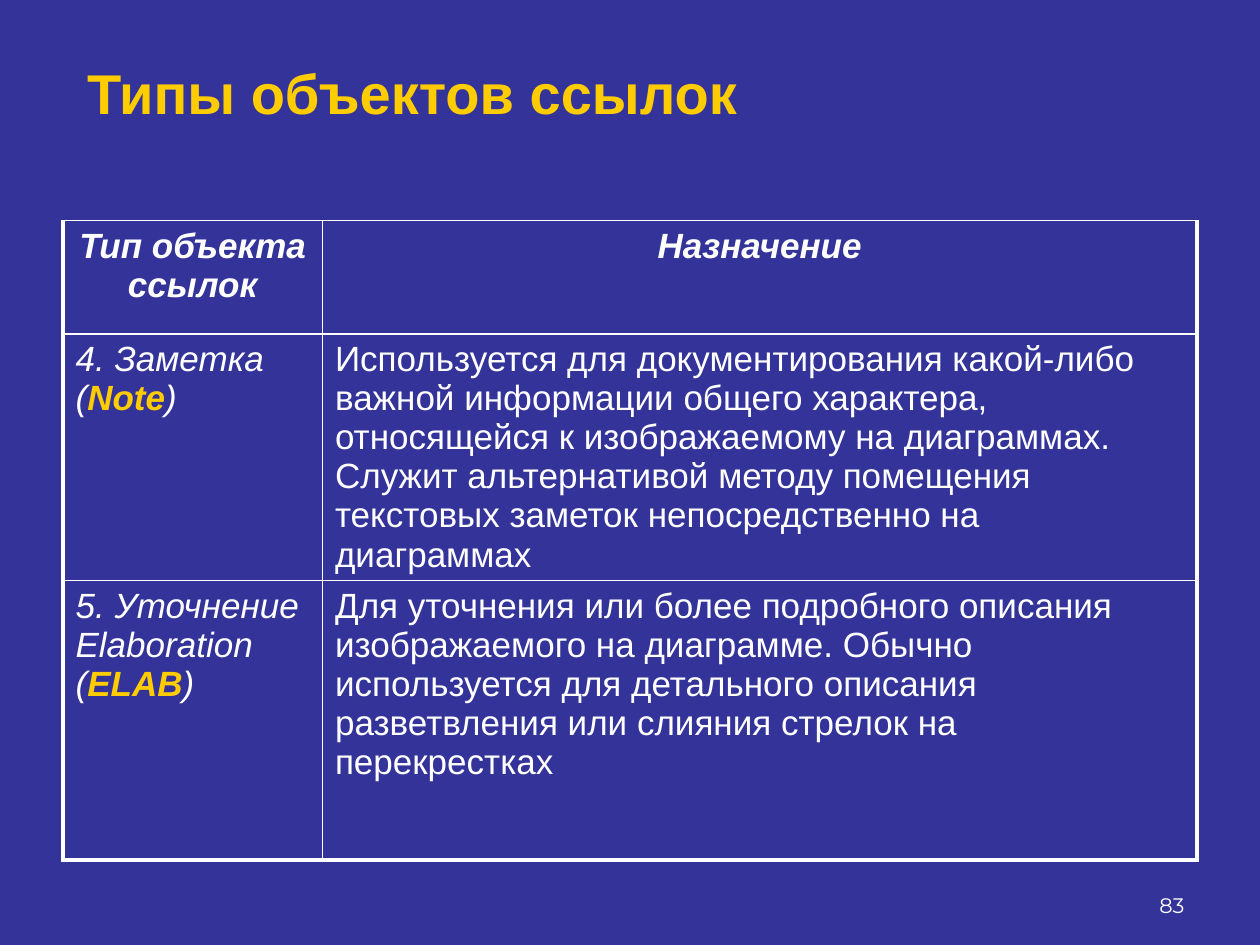
from dataclasses import dataclass

from lxml.etree import SubElement
from pptx import Presentation
from pptx.dml.color import RGBColor
from pptx.enum.text import MSO_ANCHOR, PP_ALIGN
from pptx.oxml.ns import qn
from pptx.util import Cm, Pt

NAVY = RGBColor(0x33, 0x33, 0x99)
GOLD = RGBColor(0xFF, 0xCC, 0x00)
WHITE = RGBColor(0xFF, 0xFF, 0xFF)
THIN, THICK = Pt(1), Pt(2.25)
COLUMN_WIDTHS = (Cm(5.23), Cm(17.63))
ROW_HEIGHTS = (Cm(2.28), Cm(4.7), Cm(5.63))


@dataclass
class Span:
    text: str
    bold: bool = False
    italic: bool = False
    color: RGBColor = WHITE
    size: int = 20
    name: str = "Arial"


@dataclass
class LinkType:
    label: str
    code: str
    purpose: str

    def cells(self) -> list[list[Span]]:
        return [
            [
                Span(f"{self.label} (", italic=True),
                Span(self.code, bold=True, italic=True, color=GOLD),
                Span(")", italic=True),
            ],
            [Span(self.purpose)],
        ]


HEADINGS = ("Тип объекта ссылок", "Назначение")
LINK_TYPES = (
    LinkType(
        "4. Заметка",
        "Note",
        "Используется для документирования какой-либо важной информации общего "
        "характера, относящейся к изображаемому на диаграммах. Служит "
        "альтернативой методу помещения текстовых заметок непосредственно на "
        "диаграммах",
    ),
    LinkType(
        "5. Уточнение Elaboration",
        "ELAB",
        "Для уточнения или более подробного описания изображаемого на диаграмме. "
        "Обычно используется для детального описания разветвления или слияния "
        "стрелок на перекрестках",
    ),
)


def write(frame, spans: list[Span], align=PP_ALIGN.LEFT) -> None:
    para = frame.paragraphs[0]
    para.alignment = align
    for span in spans:
        run = para.add_run()
        run.text = span.text
        run.font.color.rgb = span.color
        formats = {"size": Pt(span.size), "name": span.name,
                   "bold": span.bold, "italic": span.italic}
        for key, value in formats.items():
            setattr(run.font, key, value)


def set_borders(cell, widths: dict[str, int]) -> None:
    properties = cell._tc.get_or_add_tcPr()
    for side, width in widths.items():
        line = SubElement(properties, qn(f"a:ln{side}"), w=str(width))
        fill = SubElement(line, qn("a:solidFill"))
        SubElement(fill, qn("a:srgbClr"), val=str(WHITE))


def add_link_table(page) -> None:
    rows = [[[Span(text, bold=True, italic=True)] for text in HEADINGS]]
    rows += [link.cells() for link in LINK_TYPES]
    table = page.shapes.add_table(
        len(rows), len(COLUMN_WIDTHS), Cm(1.27), Cm(4.45),
        sum(COLUMN_WIDTHS), sum(ROW_HEIGHTS)).table
    table.first_row = table.horz_banding = False
    for column, width in zip(table.columns, COLUMN_WIDTHS):
        column.width = width
    for row, height in zip(table.rows, ROW_HEIGHTS):
        row.height = height
    last_row, last_column = len(rows) - 1, len(COLUMN_WIDTHS) - 1
    for i, row in enumerate(rows):
        for j, spans in enumerate(row):
            cell = table.cell(i, j)
            set_borders(cell, {
                "L": THICK if j == 0 else THIN,
                "R": THICK if j == last_column else THIN,
                "T": THIN,
                "B": THICK if i == last_row else THIN,
            })
            cell.fill.background()
            write(cell.text_frame, spans, PP_ALIGN.CENTER if i == 0 else PP_ALIGN.LEFT)


def place(shape, left, top, width, height) -> None:
    shape.left, shape.top, shape.width, shape.height = left, top, width, height


def main() -> None:
    deck = Presentation()
    deck.slide_width, deck.slide_height = Cm(25.4), Cm(19.05)
    page = deck.slides.add_slide(deck.slide_layouts[5])
    page.background.fill.solid()
    page.background.fill.fore_color.rgb = NAVY

    # Title
    title = page.shapes.title
    place(title, Cm(1.5), Cm(0.53), Cm(22.86), Cm(2.64))
    title.text_frame.vertical_anchor = MSO_ANCHOR.MIDDLE
    write(title.text_frame, [Span("Типы объектов ссылок", bold=True, color=GOLD, size=32)])

    # Link object types
    add_link_table(page)

    # Page number
    box = page.shapes.add_textbox(Cm(18.21), Cm(17.35), Cm(5.92), Cm(1.27))
    box.text_frame.word_wrap = True
    box.text_frame.vertical_anchor = MSO_ANCHOR.BOTTOM
    write(box.text_frame, [Span("83", size=12, name="Montserrat")], PP_ALIGN.RIGHT)

    deck.save("out.pptx")


if __name__ == "__main__":
    main()
